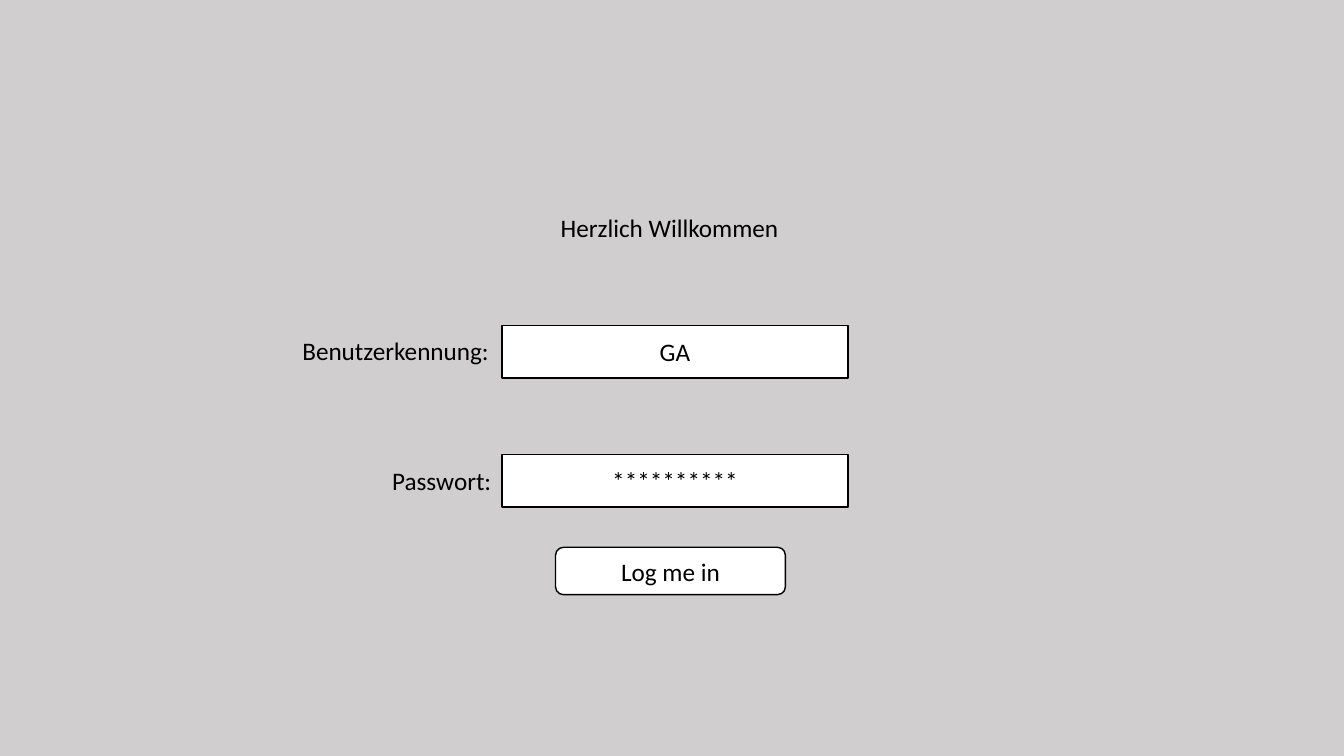
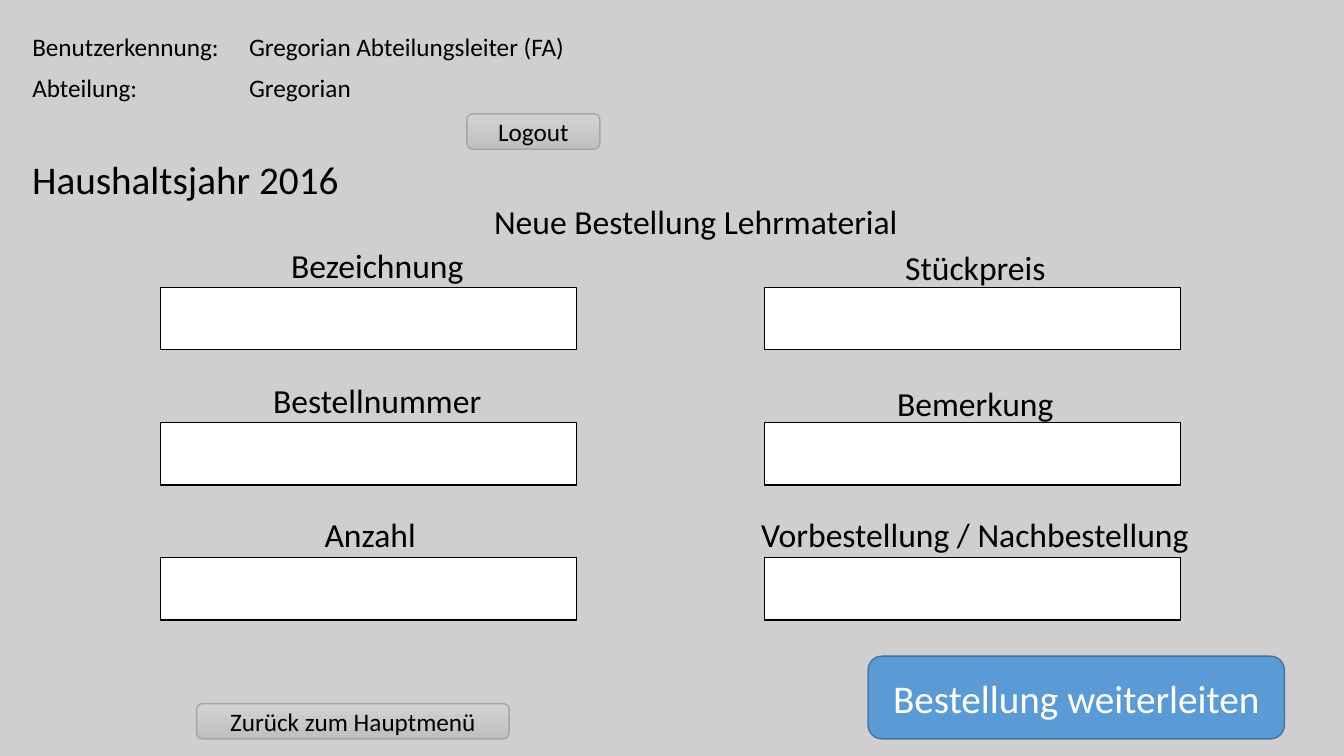
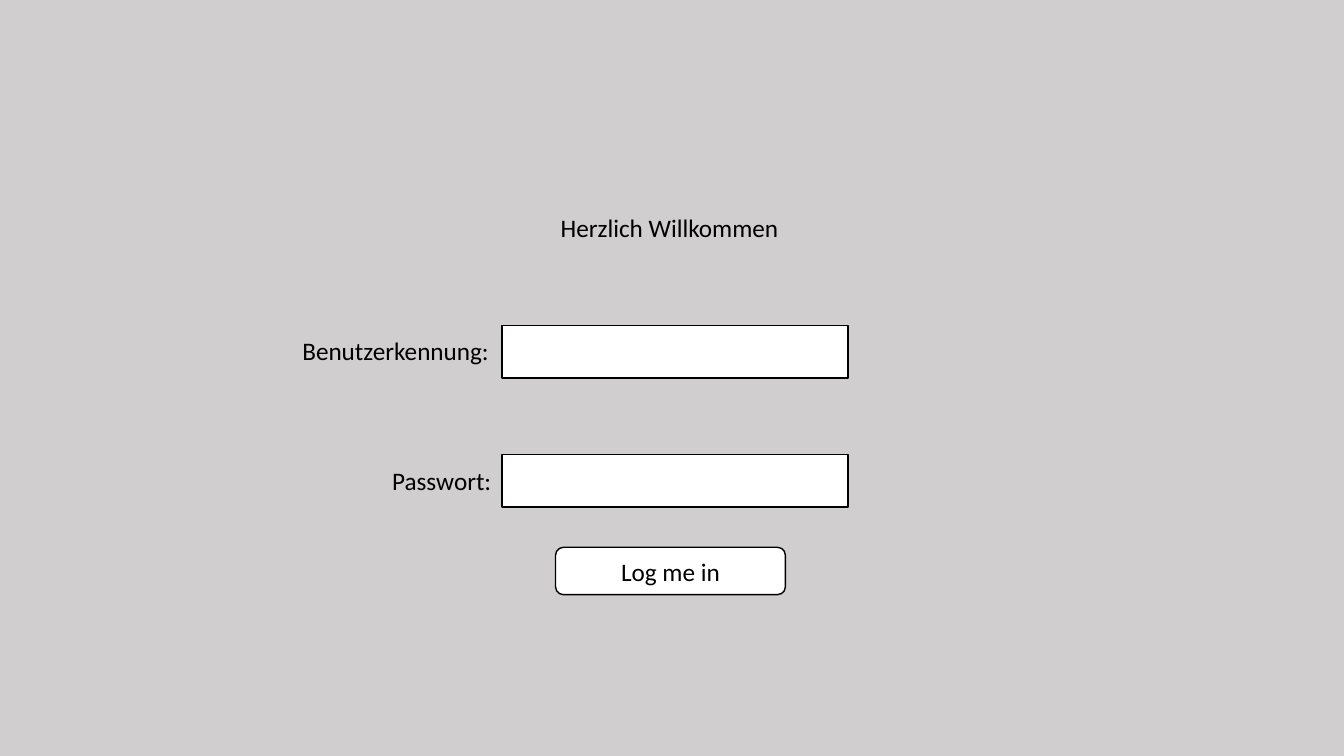
"""Builds three screens of an ordering tool: filled login, new order, empty login."""
from pptx import Presentation
from pptx.dml.color import RGBColor
from pptx.enum.shapes import MSO_SHAPE
from pptx.enum.text import MSO_ANCHOR, MSO_AUTO_SIZE, PP_ALIGN
from pptx.util import Inches, Pt

COLORS = {
    "background": "D0CECE",
    "text": "000000",
    "field": "FFFFFF",
    "outline": "000000",
    "button_top": "D2D2D2",
    "button_bottom": "C0C0C0",
    "button_line": "A5A5A5",
    "action": "5B9BD5",
    "action_line": "43739E",
    "action_text": "FFFFFF",
}
COLORS = {name: RGBColor.from_string(value) for name, value in COLORS.items()}
FONT = "Calibri"
NO_TABLE_STYLE = "{2D5ABB26-0587-4C30-8999-92F81FD0307C}"


def write(shape, text, size=18, color="text", align=PP_ALIGN.LEFT, place=None):
    """Sets the text of a shape; with a place, also makes it a label that fits its text."""
    frame = shape.text_frame
    if place:
        formats = {"word_wrap": False, "auto_size": MSO_AUTO_SIZE.SHAPE_TO_FIT_TEXT,
                   "vertical_anchor": MSO_ANCHOR.TOP}
        for name, value in formats.items():
            setattr(frame, name, value)
        for name, value in zip(("left", "top", "width", "height"), place):
            setattr(shape, name, Inches(value))
    para = frame.paragraphs[0]
    para.alignment = align
    span = para.add_run()
    span.text = text
    for name, value in {"name": FONT, "size": Pt(size)}.items():
        setattr(span.font, name, value)
    span.font.color.rgb = COLORS[color]


def add_box(page, kind, place, fill="field", line="outline"):
    """Adds an outlined input field or button; a pair of fills makes a gradient."""
    box = page.shapes.add_shape(kind, *map(Inches, place))
    box.shadow.inherit = False
    if isinstance(fill, tuple):
        box.fill.gradient()
        box.fill.gradient_angle = 270
        for stop, name in zip(box.fill.gradient_stops, fill):
            stop.color.rgb = COLORS[name]
    else:
        box.fill.solid()
        box.fill.fore_color.rgb = COLORS[fill]
    box.line.color.rgb = COLORS[line]
    box.line.width = Pt(1)
    return box


deck = Presentation()
deck.slide_width = Inches(13.33)
deck.slide_height = Inches(7.5)
master_fill = deck.slide_master.background.fill
master_fill.solid()
master_fill.fore_color.rgb = COLORS["background"]
title_only = deck.slide_layouts[5]
login, order, empty_login = [deck.slides.add_slide(title_only) for _ in range(3)]

for page, entries in ((login, ("GA", "**********")), (empty_login, ("", ""))):
    write(page.shapes.title, "Herzlich Willkommen", place=(5.46, 2.06, 2.39, 0.4))
    fields = (("Benutzerkennung:", 2.9, 3.28, 3.23), ("Passwort:", 3.79, 4.57, 4.51))
    for (label, left, label_top, field_top), entry in zip(fields, entries):
        field = add_box(page, MSO_SHAPE.RECTANGLE, (4.98, field_top, 3.43, 0.52))
        if entry:
            write(field, entry, align=PP_ALIGN.CENTER)
        caption = page.shapes.add_textbox(0, 0, 0, 0)
        write(caption, label, place=(left, label_top, 4.98 - left, 0.4))
    button = add_box(page, MSO_SHAPE.ROUNDED_RECTANGLE, (5.51, 5.43, 2.28, 0.47))
    write(button, "Log me in", align=PP_ALIGN.CENTER)

write(order.shapes.title, "Neue Bestellung Lehrmaterial", 24, place=(4.8, 1.94, 4.25, 0.5))
year = order.shapes.add_textbox(0, 0, 0, 0)
write(year, "Haushaltsjahr 2016", 28, place=(0.22, 1.49, 3.28, 0.57))

columns = (
    (1.59, (("Bezeichnung", 2.79, 2.38, 1.93),
            ("Bestellnummer", 2.61, 3.72, 2.29),
            ("Anzahl", 3.12, 5.05, 1.12))),
    (7.58, (("Stückpreis", 8.88, 2.4, 1.61),
            ("Bemerkung", 8.8, 3.75, 1.77),
            ("Vorbestellung / Nachbestellung", 7.45, 5.05, 4.48))),
)
for field_left, labels in columns:
    for row, (label, left, top, width) in enumerate(labels):
        add_box(order, MSO_SHAPE.RECTANGLE, (field_left, 2.85 + 1.34 * row, 4.13, 0.62))
        caption = order.shapes.add_textbox(0, 0, 0, 0)
        write(caption, label, 24, place=(left, top, width, 0.5))

gray = (("button_top", "button_bottom"), "button_line")
buttons = (
    ("Logout", (4.63, 1.13, 1.32, 0.35), gray, 18, "text"),
    ("Zurück zum Hauptmenü", (1.95, 6.98, 3.1, 0.35), gray, 18, "text"),
    ("Bestellung weiterleiten", (8.61, 6.51, 4.13, 0.82), ("action", "action_line"),
     28, "action_text"),
)
for text, place, (fill, line), size, color in buttons:
    button = add_box(order, MSO_SHAPE.ROUNDED_RECTANGLE, place, fill, line)
    write(button, text, size, color, PP_ALIGN.CENTER)

user_rows = (
    ("Benutzerkennung:", "Gregorian Abteilungsleiter (FA)"),
    ("Abteilung:", "Gregorian"),
    ("", ""),
)
user_table = order.shapes.add_table(
    len(user_rows), 2, Inches(0.22), Inches(0.27), Inches(5.72), Inches(1.22)).table
user_table._tbl.tblPr.find("{*}tableStyleId").text = NO_TABLE_STYLE
user_table.first_row = False
user_table.horz_banding = False
for column, width in zip(user_table.columns, (2.15, 3.57)):
    column.width = Inches(width)
for row, texts in enumerate(user_rows):
    for column, text in enumerate(texts):
        cell = user_table.cell(row, column)
        cell.fill.background()
        if text:
            write(cell, text)

deck.save("out.pptx")
